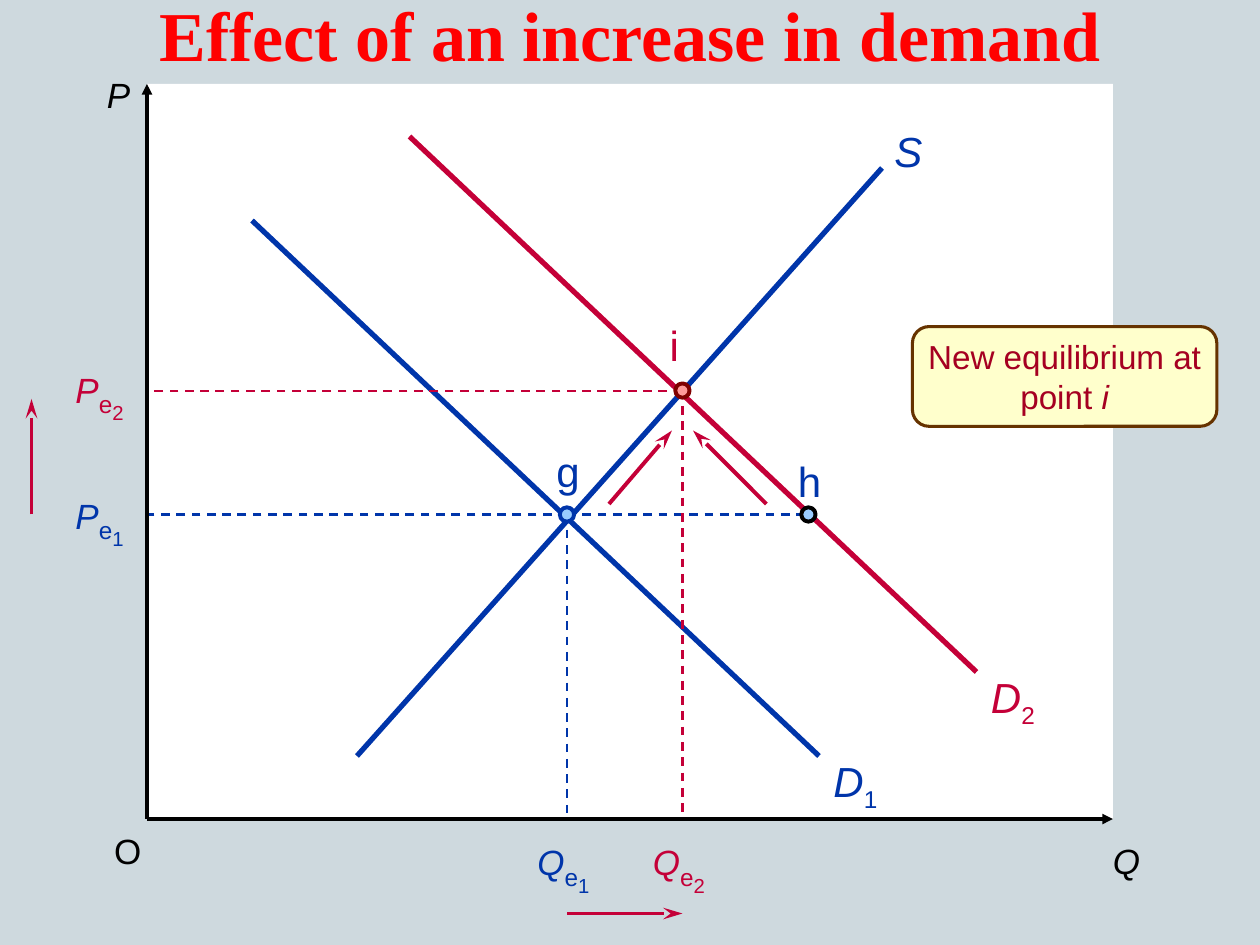
"""Build a supply and demand slide showing the effect of an increase in demand."""
from lxml.etree import SubElement, fromstring
from pptx import Presentation
from pptx.dml.color import RGBColor
from pptx.enum.dml import MSO_LINE
from pptx.enum.shapes import MSO_CONNECTOR, MSO_SHAPE
from pptx.enum.text import MSO_ANCHOR, MSO_AUTO_SIZE, PP_ALIGN
from pptx.oxml.ns import nsdecls, qn
from pptx.util import Inches, Pt

THEME = {
    "page": "CED9DE", "plot": "FFFFFF", "axis": "000000",
    "before": "0035AA", "after": "C40038",
    "old_dot": "99CCFF", "new_dot": "FF9999", "new_rim": "800000",
    "note": "FFFFCC", "note_rim": "663300", "note_text": "A50021", "title": "FF0000",
    "body_font": "Arial", "title_font": "Times New Roman",
    "small": 20, "large": 24, "note_size": 19, "title_size": 40,
    "curve": 3, "shift": 2.25, "axis_width": 2, "guide": 1.25, "note_line": 1.75,
}
COLUMNS, ROWS = 120, 90

deck = Presentation()
deck.slide_width, deck.slide_height = Inches(10), Inches(7.5)
cell = deck.slide_width / COLUMNS
slide = deck.slides.add_slide(deck.slide_layouts[6])
slide.background.fill.solid()
slide.background.fill.fore_color.rgb = RGBColor.from_string(THEME["page"])


def draw_line(start, end, color, width, arrow=None, dashed=False):
    ends = [round(cell * position) for position in (*start, *end)]
    line = slide.shapes.add_connector(MSO_CONNECTOR.STRAIGHT, *ends)
    line.line.color.rgb = RGBColor.from_string(THEME[color])
    line.line.width = Pt(THEME[width])
    if dashed:
        line.line.dash_style = MSO_LINE.DASH
    if arrow:
        length = "lg" if arrow == "stealth" else "med"
        SubElement(line.line._get_or_add_ln(), qn("a:tailEnd"), type=arrow, w="med", len=length)
    SubElement(line._element.spPr, qn("a:effectLst"))


def write(frame, parts, color, align=PP_ALIGN.LEFT, font="body_font"):
    paragraph = frame.paragraphs[0]
    paragraph.alignment = align
    for text, size, italic, baseline in parts:
        run = paragraph.add_run()
        run.text = text
        run.font.name = THEME[font]
        run.font.size = Pt(THEME[size])
        run.font.italic = italic
        run.font.color.rgb = RGBColor.from_string(THEME[color])
        if baseline:
            run._r.get_or_add_rPr().set("baseline", str(baseline * 1000))
    return paragraph


left, top, right, bottom = 14, 8, 106, 78
origin = left, bottom
g, h, i = (54, 49), (77, 49), (65, 37.2)

plot = slide.shapes.add_shape(
    MSO_SHAPE.RECTANGLE, *[round(cell * n) for n in (left, top, right - left, bottom - top)])
plot.shadow.inherit = False
plot.fill.solid()
plot.fill.fore_color.rgb = RGBColor.from_string(THEME["plot"])
plot.line.fill.background()

for start, end, color in [
    ((34, 72), (84, 16), "before"),
    ((24, 21), (78, 72), "before"),
    ((39, 13), (93, 64), "after"),
]:
    draw_line(start, end, color, "curve")

for start, end, color in [
    (g, (left, g[1]), "before"),
    (g, (g[0], bottom), "before"),
    (g, h, "before"),
    (i, (i[0], bottom), "after"),
    (i, (left, i[1]), "after"),
]:
    draw_line(start, end, color, "guide", dashed=True)

for end in [(right, bottom), (left, top)]:
    draw_line(origin, end, "axis", "axis_width", "triangle")

for start, end in [
    ((3, 49), (3, 38)),
    ((54, 87), (65, 87)),
    ((58, 48), (64, 41)),
    ((73, 48), (66, 41)),
]:
    draw_line(start, end, "after", "shift", "stealth")

labels = [
    ((9, 6.4, 4.4, 5.2), [("P", "small", True, 0)], "axis"),
    ((104.8, 79.4, 5, 5.2), [("Q", "small", True, 0)], "axis"),
    ((9.7, 78.4, 5, 5.2), [("O", "small", False, 0)], "axis"),
    ((84, 11.4, 5, 6), [("S", "large", True, 0)], "before"),
    ((51.8, 41.8, 4.7, 6), [("g", "large", False, 0)], "before"),
    ((74.8, 42.8, 4.7, 6), [("h", "large", False, 0)], "before"),
    ((62.6, 29.8, 3.4, 6), [("i", "large", False, 0)], "after"),
]
for number, color, curve_at, price_at, quantity_at in [
    ("1", "before", (78.2, 71.4), (6, 45.8), (50, 78.8)),
    ("2", "after", (93.2, 63.4), (6, 33.8), (61, 78.8)),
]:
    labels.append(((*curve_at, 6.6, 6.7),
                   [("D", "large", True, 0), (number, "large", False, -25)], color))
    for letter, corner in [("P", price_at), ("Q", quantity_at)]:
        labels.append(((*corner, 9, 7.3),
                       [(letter, "small", True, 0), ("e", "large", False, -25),
                        (number, "small", False, -50)], color))

for box, parts, color in labels:
    label = slide.shapes.add_textbox(*[round(cell * n) for n in box])
    label.text_frame.word_wrap = False
    label.text_frame.auto_size = MSO_AUTO_SIZE.SHAPE_TO_FIT_TEXT
    write(label.text_frame, parts, color)

diameter = 1.36
for center, fill, rim in [
    (h, "old_dot", "axis"),
    (g, "old_dot", "before"),
    (i, "new_dot", "new_rim"),
]:
    corner = [round(cell * (n - diameter / 2)) for n in center]
    dot = slide.shapes.add_shape(MSO_SHAPE.OVAL, *corner, *[round(cell * diameter)] * 2)
    dot.shadow.inherit = False
    dot.fill.solid()
    dot.fill.fore_color.rgb = RGBColor.from_string(THEME[fill])
    dot.line.color.rgb = RGBColor.from_string(THEME[rim])
    dot.line.width = Pt(THEME["shift"])

note = slide.shapes.add_shape(
    MSO_SHAPE.FLOWCHART_ALTERNATE_PROCESS, *[round(cell * n) for n in (86.9, 31.1, 29, 9.5)])
note.shadow.inherit = False
note.fill.solid()
note.fill.fore_color.rgb = RGBColor.from_string(THEME["note"])
note.line.color.rgb = RGBColor.from_string(THEME["note_rim"])
note.line.width = Pt(THEME["note_line"])
message = note.text_frame
message.word_wrap = True
message.vertical_anchor = MSO_ANCHOR.MIDDLE
message.margin_left = message.margin_right = Inches(0.06)
message.margin_top = message.margin_bottom = Inches(0.04)
write(message, [("New equilibrium at point ", "note_size", False, 0),
                ("i", "note_size", True, 0)], "note_text", PP_ALIGN.CENTER)

title = slide.shapes.add_textbox(*[round(cell * n) for n in (0, -1.4, COLUMNS, 9.2)])
title.text_frame.word_wrap = True
heading = write(title.text_frame, [("Effect of an increase in demand", "title_size", False, 0)],
                "title", PP_ALIGN.CENTER, "title_font").runs[0]
heading.font.bold = True
heading._r.rPr.find(qn("a:solidFill")).addnext(fromstring(
    f'<a:effectLst {nsdecls("a")}><a:outerShdw dist="35921" dir="2700000">'
    f'<a:srgbClr val="{THEME["axis"]}"/></a:outerShdw></a:effectLst>'))

deck.save("out.pptx")
